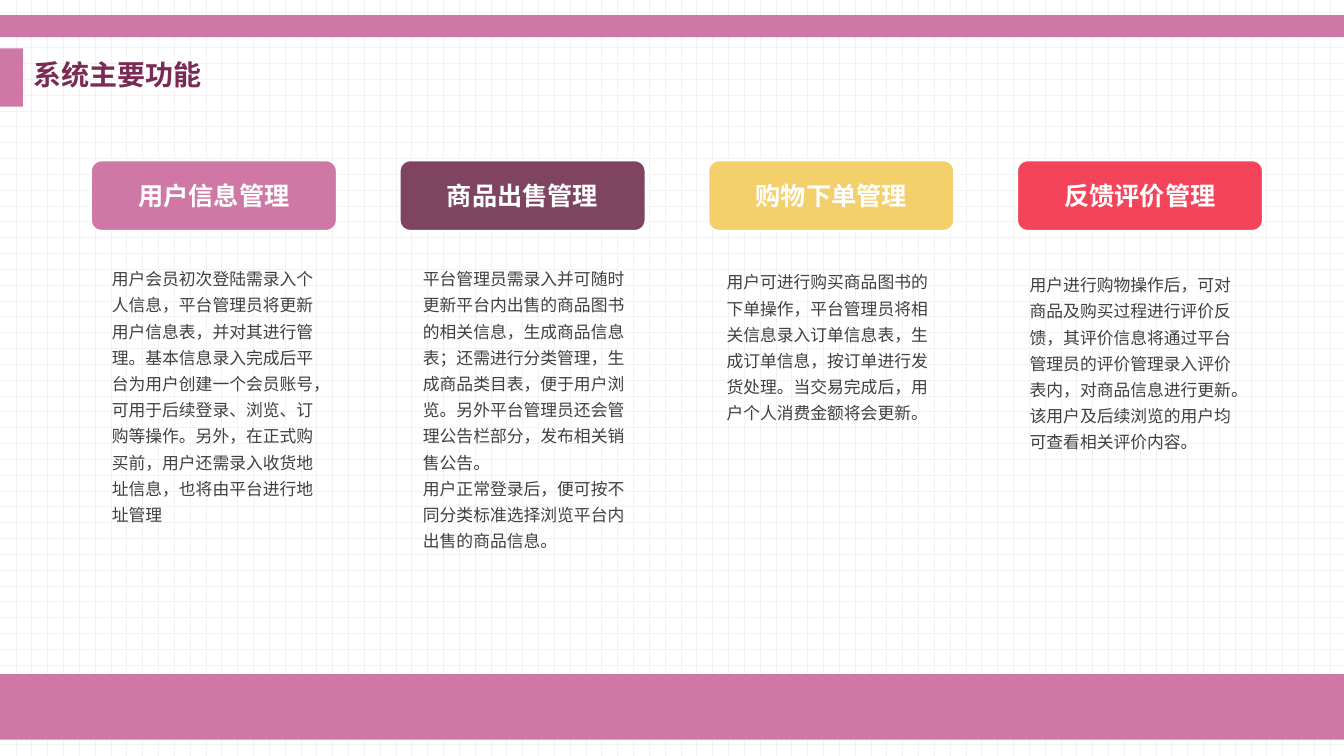
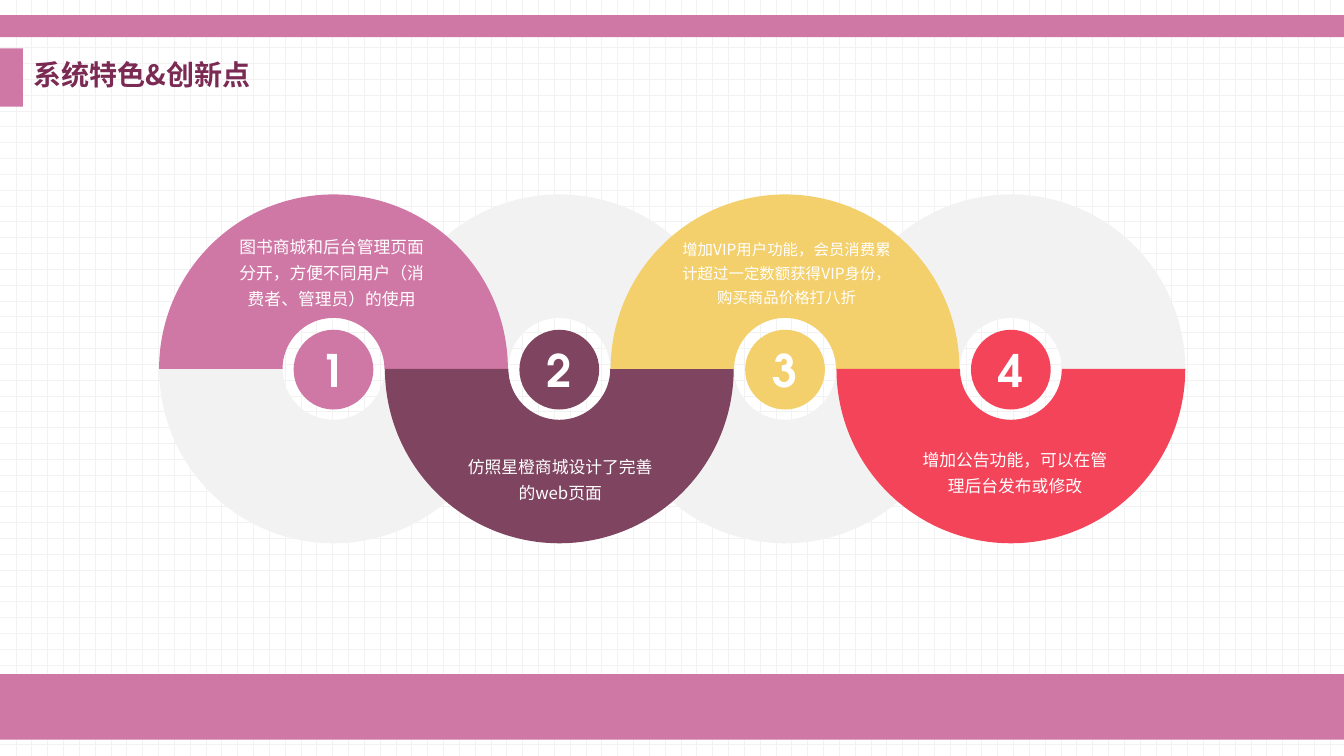
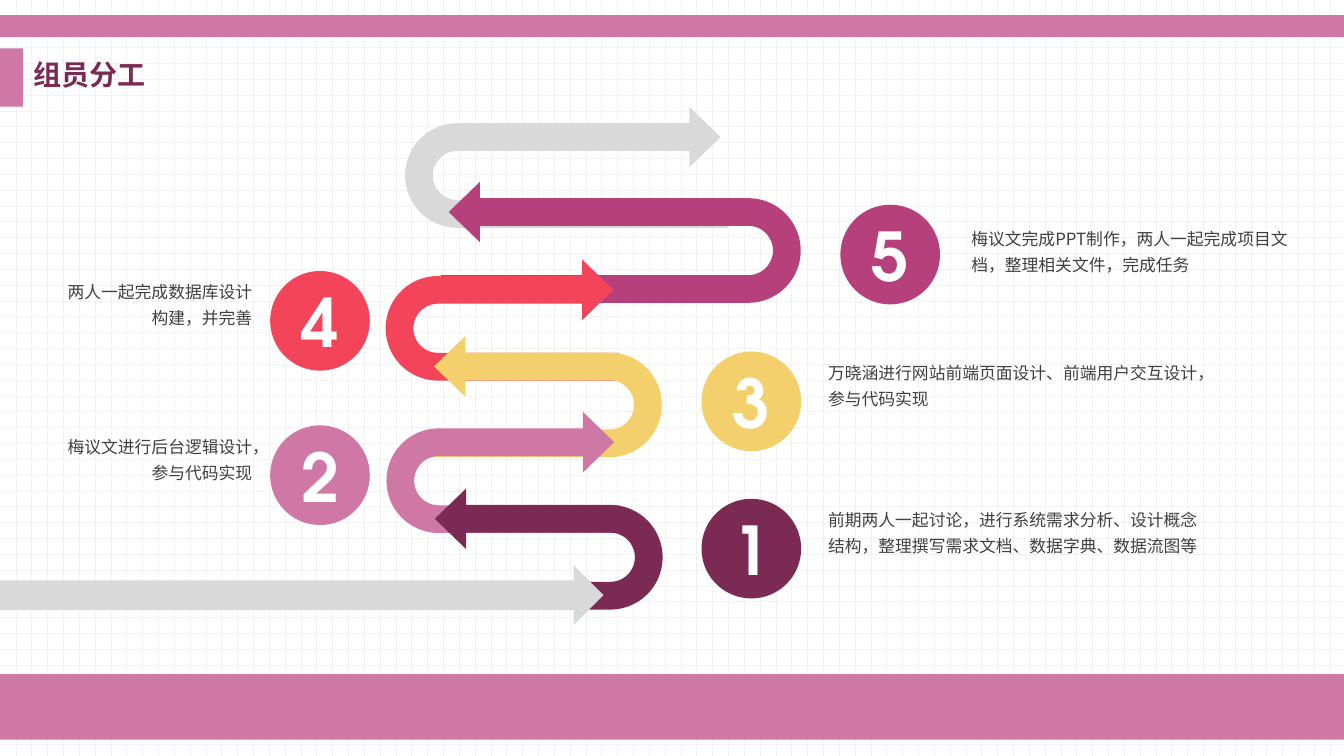
"""Build three slides on a bookshop system: functions, highlights and division of work."""
from lxml import etree
from pptx import Presentation
from pptx.dml.color import RGBColor
from pptx.enum.dml import MSO_PATTERN
from pptx.enum.shapes import MSO_SHAPE as SHAPE
from pptx.enum.text import MSO_ANCHOR as ANCHOR, MSO_AUTO_SIZE as AUTO, PP_ALIGN as ALIGN
from pptx.oxml.ns import qn
from pptx.util import Cm, Pt

rgb = RGBColor.from_string
CJK, NUM = "Noto Sans CJK SC", "TeX Gyre Adventor"
PINK, PLUM, YELLOW, RED = "D078A5", "7E4460", "F3D06C", "F4445A"
WINE, PURPLE, WHITE, TEXT = "7A2A53", "B6407C", "FFFFFF", "404040"
PALE, GREY = "F2F2F2", "D9D9D9"
COLORS = [PINK, PLUM, YELLOW, RED]


def add_shape(s, kind, x, y, w, h, color, adj=()):
    sp = s.shapes.add_shape(kind, Cm(x), Cm(y), Cm(w), Cm(h))
    sp.shadow.inherit = False
    sp.fill.solid()
    sp.fill.fore_color.rgb = rgb(color)
    sp.line.fill.background()
    for i, value in enumerate(adj):
        sp.adjustments[i] = value
    return sp


def write(sp, text, size, color, font=CJK, bold=False, align=ALIGN.CENTER, spacing=1.0):
    tf = sp.text_frame
    tf.text = text
    tf.word_wrap = True
    for p in tf.paragraphs:
        p.alignment = align
        p.line_spacing = spacing
        for r in p.runs:
            r.font.name, r.font.size, r.font.bold = font, Pt(size), bold
            r.font.color.rgb = rgb(color)
            etree.SubElement(r.font._element, qn("a:ea")).set("typeface", CJK)
    return tf


prs = Presentation()
prs.slide_width, prs.slide_height = Cm(33.87), Cm(19.05)

layout = prs.slide_layouts[5]
fill = layout.background.fill
fill.patterned()
fill.pattern = MSO_PATTERN.DOTTED_GRID
fill.fore_color.rgb, fill.back_color.rgb = rgb(PALE), rgb(WHITE)
ph = layout.placeholders[0]
ph.left, ph.top, ph.width, ph.height = Cm(0.58), Cm(1.19), Cm(13.51), Cm(1.47)

slides = []
for title in ["系统主要功能", "系统特色&创新点", "组员分工"]:
    s = prs.slides.add_slide(layout)
    tf = write(s.shapes.title, title, 20, WINE, bold=True, align=ALIGN.LEFT, spacing=0.9)
    tf.auto_size, tf.vertical_anchor = AUTO.NONE, ANCHOR.MIDDLE
    tf.paragraphs[0].space_before = Pt(10)
    slides.append(s)
functions, highlights, work = slides

for x, y, w, h in [(0, 16.99, 33.87, 1.65), (0, 0.38, 33.87, 0.56), (0, 1.22, 0.58, 1.47)]:
    band = add_shape(functions, SHAPE.RECTANGLE, x, y, w, h, PINK)
    layout.shapes.element.append(band.element)

for i, name in enumerate(["用户信息管理", "商品出售管理", "购物下单管理", "反馈评价管理"]):
    sp = add_shape(functions, SHAPE.ROUNDED_RECTANGLE, 2.29 + 7.78 * i, 4.04, 6.2, 1.78,
                   COLORS[i], [0.15])
    sp.line.color.rgb, sp.line.width = rgb(WHITE), Pt(1.5)
    write(sp, name, 18, WHITE, NUM, True)

HALF = [108, 0, 0.354]
for color_pass in (False, True):
    for i, color in enumerate(COLORS):
        sp = add_shape(highlights, SHAPE.BLOCK_ARC, 4.01 + 5.69 * i, 4.9, 8.79, 8.79,
                       color if color_pass else PALE, HALF)
        sp.rotation = 180 if (i % 2 == 1) == color_pass else 0

UTURN = [0.229, 0.25, 0.258, 0.437, 0.978]
for i, (x, y, length, color) in enumerate([
    (12.75, 0.15, 8.13, GREY), (14.12, 1.57, 9.07, PURPLE), (11.13, 5.13, 5.87, RED),
    (12.22, 7.06, 5.87, YELLOW), (11.15, 8.97, 5.87, PINK), (12.24, 10.9, 5.87, WINE),
]):
    sp = add_shape(work, SHAPE.U_TURN_ARROW, x, y, 3.05, length, color, UTURN)
    sp.rotation = 90 if i % 2 else 270
    if i % 2:
        sp.element.spPr.xfrm.set("flipH", "1")
add_shape(work, SHAPE.RIGHT_ARROW, 0, 14.25, 15.21, 1.5, GREY)

numbers = [(highlights, i + 1, 7.4 + 5.69 * i, 8.31, 2.01, 32, c) for i, c in enumerate(COLORS)]
numbers += [(work, n, x, y, 2.51, 48, color) for n, x, y, color in [
    (1, 17.68, 12.57, WINE), (2, 6.81, 10.72, PINK), (3, 17.68, 8.86, YELLOW),
    (4, 6.81, 6.83, RED), (5, 21.18, 5.16, PURPLE)]]
for s, n, x, y, d, size, color in numbers:
    tf = write(add_shape(s, SHAPE.OVAL, x, y, d, d, color), str(n), size, WHITE, NUM, True)
    tf.margin_left = tf.margin_right = tf.margin_top = tf.margin_bottom = 0
    tf.vertical_anchor = ANCHOR.MIDDLE

L, C, R = ALIGN.LEFT, ALIGN.CENTER, ALIGN.RIGHT
notes = [
    (functions, 2.57, 6.5, 5.92, 10, 12, TEXT, L,
     "用户会员初次登陆需录入个人信息，平台管理员将更新用户信息表，并对其进行管理。"
     "基本信息录入完成后平台为用户创建一个会员账号，可用于后续登录、浏览、订购等操作。"
     "另外，在正式购买前，用户还需录入收货地址信息，也将由平台进行地址管理"),
    (functions, 10.41, 6.5, 5.92, 11, 12, TEXT, L,
     "平台管理员需录入并可随时更新平台内出售的商品图书的相关信息，生成商品信息表；"
     "还需进行分类管理，生成商品类目表，便于用户浏览。"
     "另外平台管理员还会管理公告栏部分，发布相关销售公告。\n"
     "用户正常登录后，便可按不同分类标准选择浏览平台内出售的商品信息。"),
    (functions, 18.06, 6.58, 5.92, 6, 12, TEXT, L,
     "用户可进行购买商品图书的下单操作，平台管理员将相关信息录入订单信息表，"
     "生成订单信息，按订单进行发货处理。当交易完成后，用户个人消费金额将会更新。"),
    (functions, 25.7, 6.65, 5.92, 7, 12, TEXT, L,
     "用户进行购物操作后，可对商品及购买过程进行评价反馈，"
     "其评价信息将通过平台管理员的评价管理录入评价表内，对商品信息进行更新。"
     "该用户及后续浏览的用户均可查看相关评价内容。"),
    (highlights, 5.72, 5.69, 5.28, 3, 12, WHITE, C,
     "图书商城和后台管理页面分开，方便不同用户（消费者、管理员）的使用"),
    (highlights, 11.48, 11.23, 5.28, 2, 12, WHITE, C, "仿照星橙商城设计了完善的web页面"),
    (highlights, 16.94, 5.79, 5.77, 3, 11, WHITE, C,
     "增加VIP用户功能，会员消费累计超过一定数额获得VIP身份，购买商品价格打八折"),
    (highlights, 22.94, 11.05, 5.28, 2, 12, WHITE, C, "增加公告功能，可以在管理后台发布或修改"),
    (work, 20.62, 12.57, 10.21, 2, 12, TEXT, L,
     "前期两人一起讨论，进行系统需求分析、设计概念结构，整理撰写需求文档、数据字典、数据流图等"),
    (work, 1.12, 10.72, 5.49, 2, 12, TEXT, R, "梅议文进行后台逻辑设计，参与代码实现"),
    (work, 20.62, 8.86, 10.21, 2, 12, TEXT, L,
     "万晓涵进行网站前端页面设计、前端用户交互设计，参与代码实现"),
    (work, 1.12, 6.83, 5.49, 2, 12, TEXT, R, "两人一起完成数据库设计构建，并完善"),
    (work, 24.23, 5.49, 8.53, 2, 12, TEXT, L,
     "梅议文完成PPT制作，两人一起完成项目文档，整理相关文件，完成任务"),
]
for s, x, y, w, lines, size, color, align, text in notes:
    tb = s.shapes.add_textbox(Cm(x), Cm(y), Cm(w), Cm(0.25 + 0.66 * lines))
    tf = write(tb, text, size, color, align=align, spacing=1.3)
    tf.auto_size = AUTO.SHAPE_TO_FIT_TEXT

prs.save("out.pptx")
